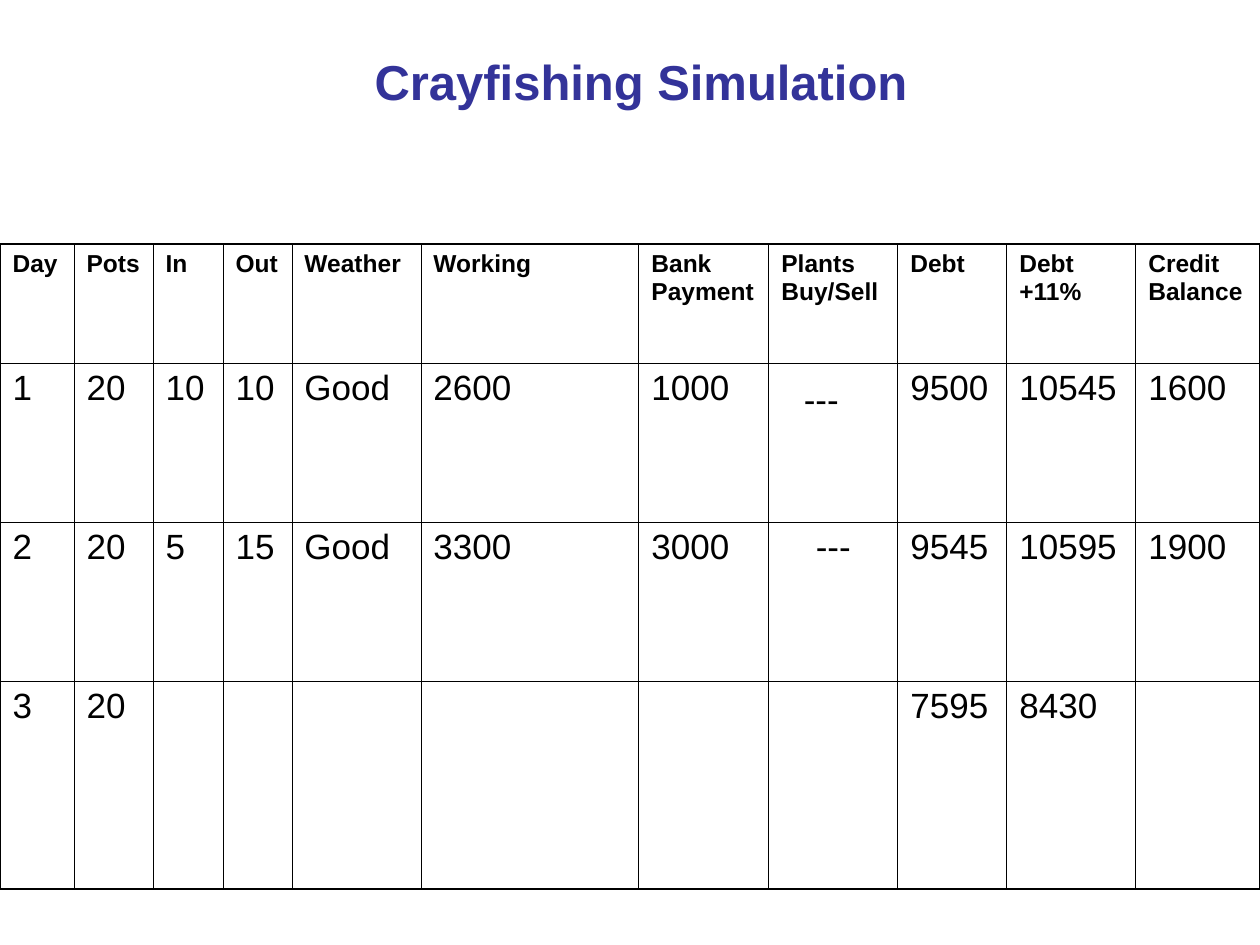
from dataclasses import dataclass, field
from typing import Any

from lxml.etree import SubElement
from pptx import Presentation
from pptx.dml.color import RGBColor
from pptx.enum.text import MSO_ANCHOR, MSO_AUTO_SIZE, PP_ALIGN
from pptx.oxml.ns import qn
from pptx.util import Pt

SCALE = 914400 / 126
COLORS = {"title": "333399", "ink": "000000"}
FONTS = {
    "title": {"name": "Arial", "size": Pt(28), "bold": True},
    "head": {"name": "Arial", "size": Pt(14), "bold": True},
    "body": {"name": "Arial", "size": Pt(20), "bold": False},
}
THIN, THICK = 0.45, 1.08

# Table grid in px
TOP = 244
COLS = [74, 79, 70, 69, 129, 218, 130, 129, 109, 129, 124]
ROWS = [119, 159, 159, 208]


@dataclass
class Entry:
    text: str
    style: str = "body"
    align: Any = PP_ALIGN.LEFT
    pads: dict = field(default_factory=dict)


def px(n: int) -> int:
    return round(n * SCALE)


def apply(item: Any, values: dict) -> None:
    for key, value in values.items():
        setattr(item, key, value)


def write(frame: Any, entry: Entry, color: str) -> None:
    para = frame.paragraphs[0]
    para.alignment = entry.align
    run = para.add_run()
    run.text = entry.text
    apply(run.font, FONTS[entry.style])
    run.font.color.rgb = RGBColor.from_string(COLORS[color])


def edge(cell: Any, side: str, width: float) -> None:
    props = cell._tc.get_or_add_tcPr()
    line = SubElement(props, qn(f"a:ln{side}"), w=str(Pt(width)))
    fill = SubElement(line, qn("a:solidFill"))
    SubElement(fill, qn("a:srgbClr"), val=COLORS["ink"])


def draw(cell: Any, entry: Entry, outer: dict[str, bool]) -> None:
    for side, thick in outer.items():
        edge(cell, side, THICK if thick else THIN)
    cell.fill.background()
    if entry.text:
        write(cell.text_frame, entry, "ink")
    apply(cell, entry.pads)


# Table content
HEADS = ["Day", "Pots", "In", "Out", "Weather", "Working", "Bank Payment",
         "Plants Buy/Sell", "Debt", "Debt +11%", "Credit Balance"]
DAYS = [
    ["1", "20", "10", "10", "Good", "2600", "1000",
     Entry("---", pads={"margin_left": px(35), "margin_top": px(18)}),
     "9500", "10545", "1600"],
    ["2", "20", "5", "15", "Good", "3300", "3000",
     Entry("---", align=PP_ALIGN.CENTER), "9545", "10595", "1900"],
    ["3", "20", "", "", "", "", "", "", "7595", "8430", ""],
]


def main() -> None:
    deck = Presentation()
    apply(deck, {"slide_width": px(1260), "slide_height": px(945)})
    slide = deck.slides.add_slide(deck.slide_layouts[5])

    # Title
    title = slide.shapes.title
    apply(title, {"left": px(362), "top": px(45),
                  "width": px(566), "height": px(72)})
    apply(title.text_frame, {"word_wrap": True,
                             "vertical_anchor": MSO_ANCHOR.TOP,
                             "auto_size": MSO_AUTO_SIZE.SHAPE_TO_FIT_TEXT})
    write(title.text_frame, Entry("Crayfishing Simulation", "title"), "title")

    # Table
    table = slide.shapes.add_table(len(ROWS), len(COLS), 0, px(TOP),
                                   px(sum(COLS)), px(sum(ROWS))).table
    apply(table, {"first_row": False, "horz_banding": False})
    for col, width in zip(table.columns, COLS):
        col.width = px(width)
    for row, height in zip(table.rows, ROWS):
        row.height = px(height)

    # Cells, with a thicker outer frame
    grid = [[Entry(text, "head") for text in HEADS], *DAYS]
    for r, line in enumerate(grid):
        for c, item in enumerate(line):
            entry = item if isinstance(item, Entry) else Entry(item)
            outer = {"L": c == 0, "R": c == len(COLS) - 1,
                     "T": r == 0, "B": r == len(ROWS) - 1}
            draw(table.cell(r, c), entry, outer)

    deck.save("out.pptx")


if __name__ == "__main__":
    main()
